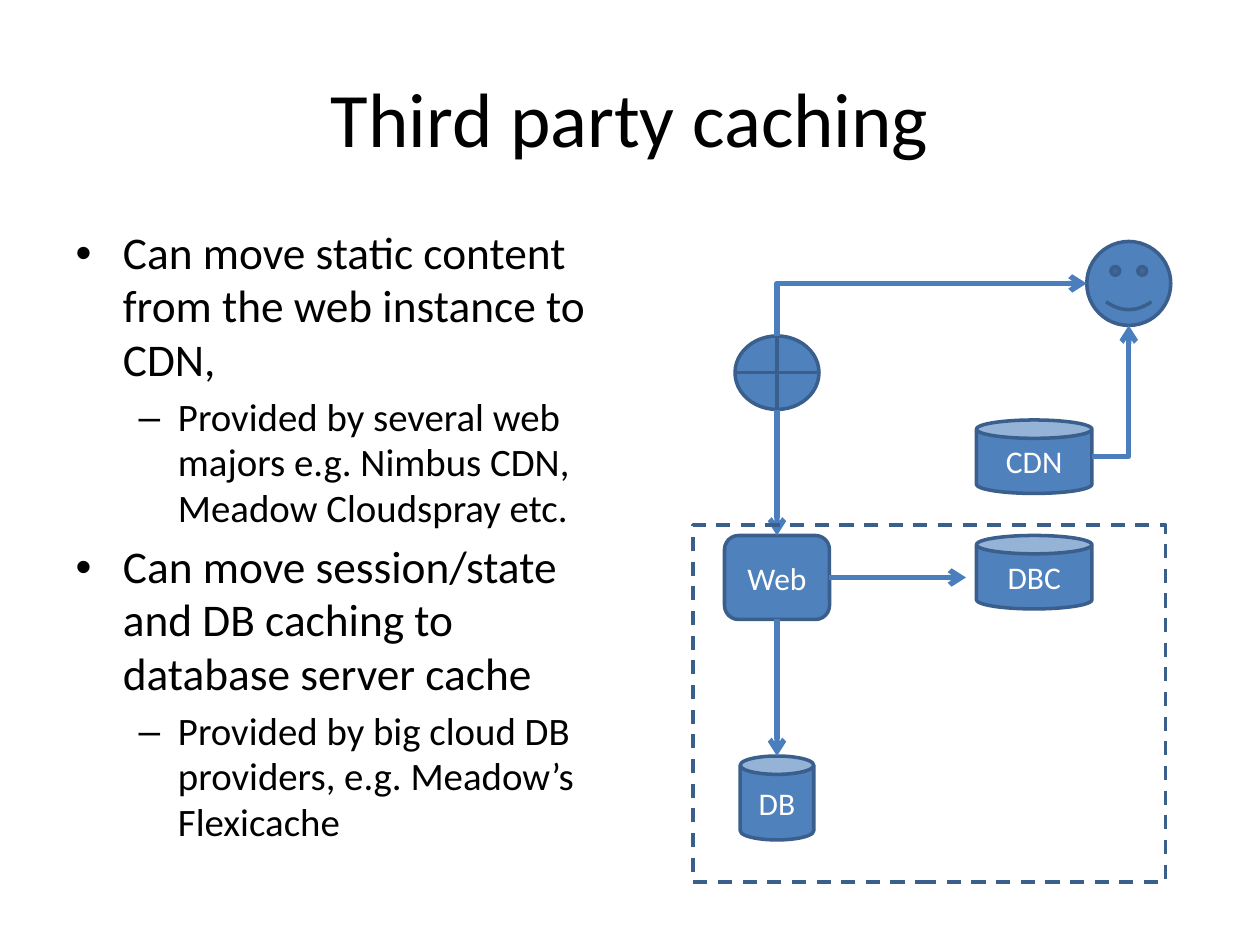
from lxml import etree
from pptx import Presentation
from pptx import util as u
from pptx.dml.color import RGBColor
from pptx.enum import dml, shapes, text
from pptx.oxml.ns import qn

PX = 9525  # EMU per px, 96 px to the inch
FONT = "Calibri"
BLACK, WHITE = "000000", "FFFFFF"
FILL, EDGE, ARROW = "4F81BD", "3A5F8C", "4B7EBC"
SHAPE = shapes.MSO_SHAPE


def px(*lengths):
    return [u.Emu(length * PX) for length in lengths]


def color(value):
    return RGBColor.from_string(value)


def write(para, words, size=18, ink=BLACK, align=None, level=0, spacing=None):
    para.level = level
    para.alignment = align
    para.line_spacing = spacing
    span = para.add_run()
    span.text = words
    span.font.name = FONT
    span.font.size = u.Pt(size)
    span.font.color.rgb = color(ink)


class Diagram:
    """Keeps the slide and the style of its parts."""

    def __init__(self, slide, edge_width=2, arrow_width=3):
        self.slide = slide
        self.edge_width = u.Pt(edge_width)
        self.arrow_width = u.Pt(arrow_width)

    def place(self, holder, *bounds):
        holder.left, holder.top, holder.width, holder.height = px(*bounds)
        holder.text_frame.auto_size = text.MSO_AUTO_SIZE.NONE
        return holder.text_frame

    def title(self, words, *bounds):
        frame = self.place(self.slide.shapes.title, *bounds)
        frame.vertical_anchor = text.MSO_ANCHOR.MIDDLE
        write(frame.paragraphs[0], words, size=44, align=text.PP_ALIGN.CENTER)

    def bullets(self, items, *bounds):
        frame = self.place(self.slide.placeholders[1], *bounds)
        for index, (level, words) in enumerate(items):
            para = frame.add_paragraph() if index else frame.paragraphs[0]
            write(para, words, size=(25.9, 22.2)[level], level=level, spacing=0.98)
        frame.paragraphs[0].space_before = u.Pt(0)

    def node(self, kind, *bounds, label=None):
        box = self.slide.shapes.add_shape(kind, *px(*bounds))
        box.shadow.inherit = False
        box.fill.solid()
        box.fill.fore_color.rgb = color(FILL)
        box.line.color.rgb = color(EDGE)
        box.line.width = self.edge_width
        if label:
            box.text_frame.vertical_anchor = text.MSO_ANCHOR.MIDDLE
            write(box.text_frame.paragraphs[0], label, ink=WHITE,
                  align=text.PP_ALIGN.CENTER)
        return box

    def frame(self, *bounds):
        box = self.node(SHAPE.RECTANGLE, *bounds)
        box.fill.background()
        box.line.dash_style = dml.MSO_LINE.DASH

    def arrow(self, start, end, bent=False, tip="tailEnd"):
        """A bent arrow leaves its start horizontally and turns once."""
        kind = shapes.MSO_CONNECTOR.ELBOW if bent else shapes.MSO_CONNECTOR.STRAIGHT
        link = self.slide.shapes.add_connector(kind, *px(*start, *end))
        link.line.color.rgb = color(ARROW)
        link.line.width = self.arrow_width
        properties = link._element.spPr
        if bent:
            properties.find(qn("a:prstGeom")).set("prst", "bentConnector2")
        etree.SubElement(properties.find(qn("a:ln")), qn("a:" + tip), type="arrow")
        etree.SubElement(properties, qn("a:effectLst"))


def main():
    deck = Presentation()
    deck.slide_width, deck.slide_height = px(960, 720)
    diagram = Diagram(deck.slides.add_slide(deck.slide_layouts[1]))

    # Title and list
    diagram.title("Third party caching", 48, 29, 864, 120)
    diagram.bullets([
        (0, "Can move static content from the web instance to CDN,"),
        (1, "Provided by several web majors e.g. Nimbus CDN, Meadow Cloudspray etc."),
        (0, "Can move session/state and DB caching to database server cache"),
        (1, "Provided by big cloud DB providers, e.g. Meadow’s Flexicache"),
    ], 48, 168, 424, 475)

    # Web server and its database
    diagram.node(SHAPE.ROUNDED_RECTANGLE, 552, 408, 80, 64, label="Web")
    diagram.node(SHAPE.CAN, 564, 576, 56, 64, label="DB")
    diagram.arrow((592, 472), (592, 576))

    # Load balancer and user
    diagram.node(SHAPE.FLOWCHART_OR, 560, 256, 64, 56)
    diagram.arrow((592, 312), (592, 408))
    diagram.node(SHAPE.SMILEY_FACE, 828, 184, 64, 64)
    diagram.arrow((828, 216), (592, 256), bent=True, tip="headEnd")

    # Third party caches
    for label, top in (("CDN", 320), ("DBC", 408)):
        diagram.node(SHAPE.CAN, 744, top, 88, 56, label=label)
    diagram.arrow((832, 348), (860, 248), bent=True)

    # Hosted zone
    diagram.frame(528, 400, 360, 272)
    diagram.arrow((632, 440), (736, 440))

    deck.save("out.pptx")


if __name__ == "__main__":
    main()
